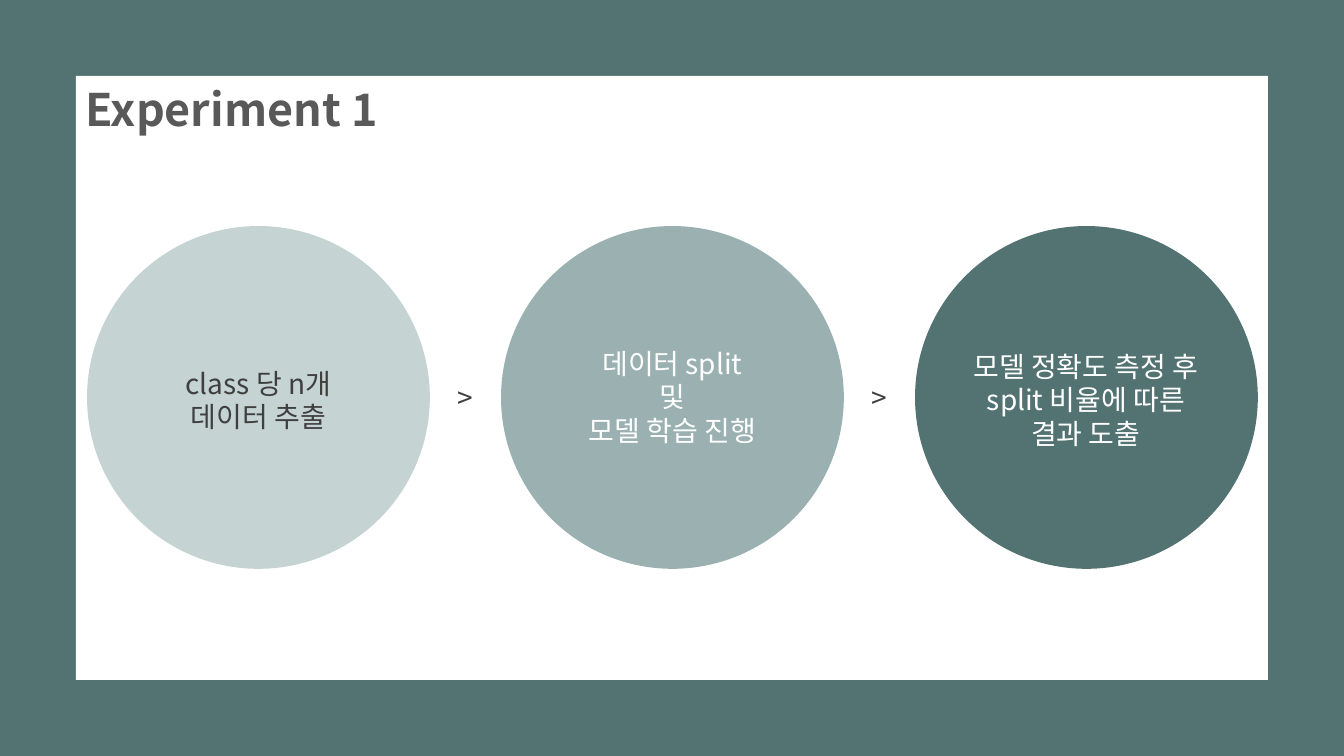
from dataclasses import dataclass

from lxml import etree
from pptx import Presentation
from pptx import util as u
from pptx.dml.color import RGBColor
from pptx.enum import shapes, text
from pptx.oxml.ns import qn
from pptx.shapes.autoshape import Shape
from pptx.slide import Slide

FONT = "Noto Sans CJK KR"
TEAL = RGBColor(0x53, 0x72, 0x72)
SAGE = RGBColor(0x9B, 0xB1, 0xB1)
MIST = RGBColor(0xC5, 0xD3, 0xD3)
WHITE = RGBColor(0xFF, 0xFF, 0xFF)
GRAY = RGBColor(0x59, 0x59, 0x59)
INK = RGBColor(0x3F, 0x3F, 0x3F)

PAGE_WIDTH, PAGE_HEIGHT = 1344, 756
MARGIN = 76
CIRCLE_LEFT, CIRCLE_TOP, CIRCLE_SIZE, CIRCLE_PITCH = 88, 227, 341, 414
ARROW_OFFSET, ARROW_TOP, ARROW_WIDTH, ARROW_HEIGHT = 358, 375, 38, 44


def px(length: int) -> int:
    return round(length * u.Inches(1) / 134.4)


@dataclass(frozen=True)
class Area:
    left: int
    top: int
    width: int
    height: int

    def emu(self) -> tuple[int, int, int, int]:
        return px(self.left), px(self.top), px(self.width), px(self.height)


@dataclass(frozen=True)
class Step:
    label: str
    fill: RGBColor
    ink: RGBColor
    label_top: int
    label_width: int
    label_height: int


STEPS = [
    Step("class 당 n개\n데이터 추출", MIST, INK, 361, 223, 78),
    Step("데이터 split\n및\n모델 학습 진행", SAGE, WHITE, 341, 223, 112),
    Step("모델 정확도 측정 후\nsplit 비율에 따른\n결과 도출", TEAL, WHITE, 344, 276, 112),
]


def draw_shape(page: Slide, kind: shapes.MSO_SHAPE, area: Area, color: RGBColor,
               outlined: bool = False) -> None:
    shape = page.shapes.add_shape(kind, *area.emu())
    shape.shadow.inherit = False
    shape.fill.solid()
    shape.fill.fore_color.rgb = color
    if outlined:
        shape.line.color.rgb = color
        shape.line.width = u.Pt(1)
    else:
        shape.line.fill.background()


def write(box: Shape, words: str, size: int, color: RGBColor,
          align: text.PP_ALIGN, bold: bool = False) -> None:
    frame = box.text_frame
    frame.text = words
    frame.word_wrap = True
    frame.auto_size = text.MSO_AUTO_SIZE.SHAPE_TO_FIT_TEXT
    frame.vertical_anchor = text.MSO_ANCHOR.TOP
    frame.margin_left = frame.margin_right = u.Inches(0.07)
    frame.margin_top = frame.margin_bottom = u.Inches(0.04)
    for para in frame.paragraphs:
        para.alignment = align
        for span in para.runs:
            span.font.name = FONT
            span.font.size = u.Pt(size)
            span.font.bold = bold
            span.font.color.rgb = color
            east_asian = etree.SubElement(span._r.get_or_add_rPr(), qn("a:ea"))
            east_asian.set("typeface", FONT)


def draw_label(page: Slide, area: Area, words: str, color: RGBColor) -> None:
    box = page.shapes.add_textbox(*area.emu())
    write(box, words, 15, color, text.PP_ALIGN.CENTER)


def draw_title(page: Slide, area: Area, words: str) -> None:
    title = page.shapes.title
    title.left, title.top, title.width, title.height = area.emu()
    write(title, words, 24, GRAY, text.PP_ALIGN.LEFT, bold=True)
    title.element.getparent().append(title.element)


def draw_step(page: Slide, index: int, step: Step) -> None:
    left = CIRCLE_LEFT + index * CIRCLE_PITCH
    circle = Area(left, CIRCLE_TOP, CIRCLE_SIZE, CIRCLE_SIZE)
    draw_shape(page, shapes.MSO_SHAPE.OVAL, circle, step.fill, outlined=True)
    label_left = left + (CIRCLE_SIZE - step.label_width) // 2
    label = Area(label_left, step.label_top, step.label_width, step.label_height)
    draw_label(page, label, step.label, step.ink)
    if index < len(STEPS) - 1:
        arrow = Area(left + ARROW_OFFSET, ARROW_TOP, ARROW_WIDTH, ARROW_HEIGHT)
        draw_label(page, arrow, ">", INK)


def main() -> None:
    deck = Presentation()
    deck.slide_width, deck.slide_height = px(PAGE_WIDTH), px(PAGE_HEIGHT)
    page = deck.slides.add_slide(deck.slide_layouts.get_by_name("Title Only"))
    rectangle = shapes.MSO_SHAPE.RECTANGLE
    draw_shape(page, rectangle, Area(0, 0, PAGE_WIDTH, PAGE_HEIGHT), TEAL)
    panel = Area(MARGIN, MARGIN, PAGE_WIDTH - 2 * MARGIN, PAGE_HEIGHT - 2 * MARGIN)
    draw_shape(page, rectangle, panel, WHITE)
    draw_title(page, Area(MARGIN, MARGIN, 321, 64), "Experiment 1")
    for index, step in enumerate(STEPS):
        draw_step(page, index, step)
    deck.save("out.pptx")


if __name__ == "__main__":
    main()
